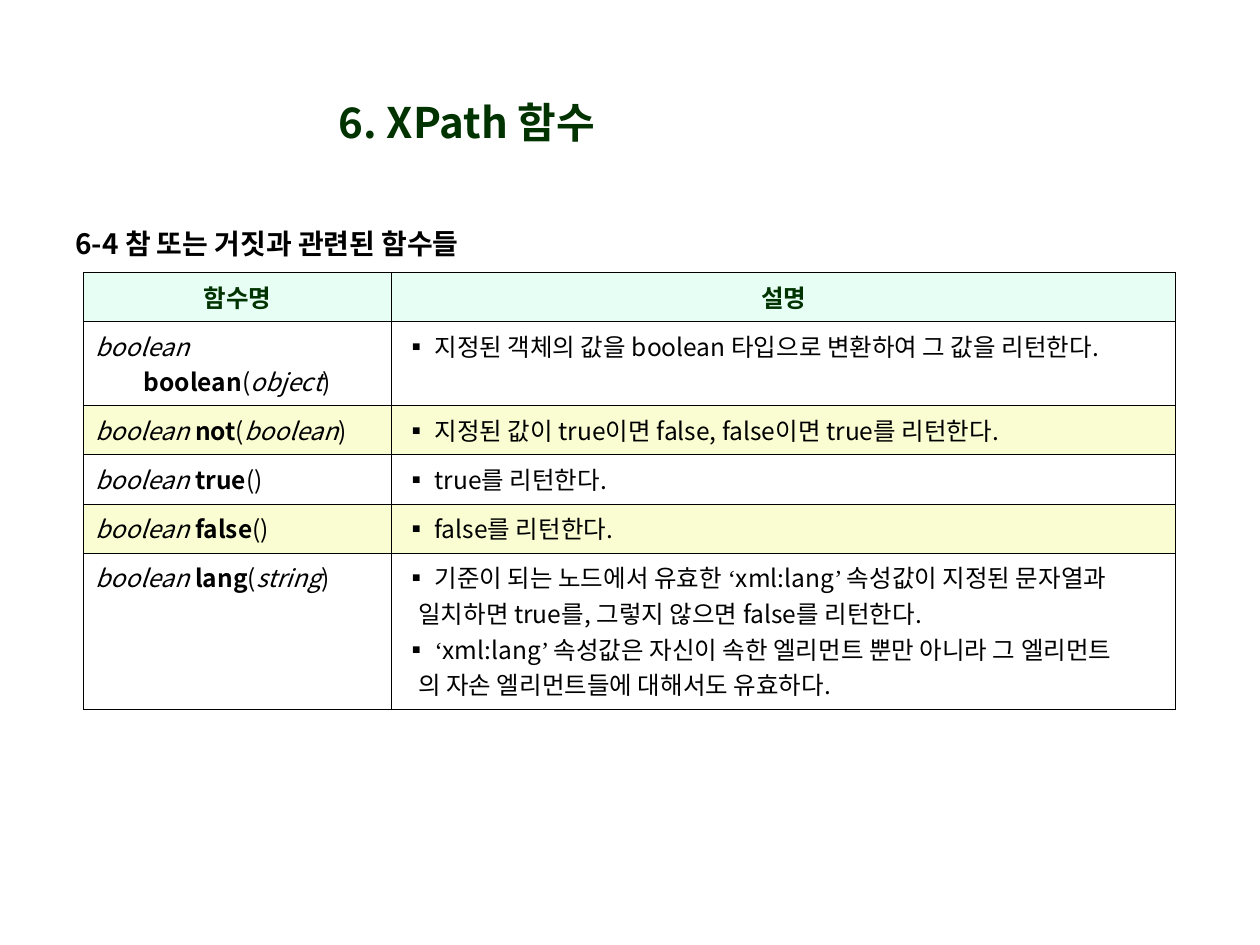
from lxml.etree import SubElement
from pptx import Presentation
from pptx.dml.color import RGBColor
from pptx.enum.text import MSO_ANCHOR, PP_ALIGN
from pptx.oxml.ns import qn
from pptx.util import Inches, Pt

WIDTH, HEIGHT = Inches(10), Inches(7.5)
COLORS = {"heading": "003300", "text": "000000", "border": "000000",
          "header": "E6FEF4", "band": "F9FDD1"}
SANS, SERIF = "Noto Sans CJK KR", "Times New Roman"
COLUMNS = (2.45, 6.22)
ROWS = (0.39, 0.67, 0.39, 0.39, 0.39, 1.24)
HANG = 0.38       # hanging indent of ordinary paragraphs
CONTINUED = 0.11  # left margin of a continued line


def signature(name, argument=""):
    """Spans of a function that returns a boolean: (text, style)."""
    spans = [("boolean ", "italic"), (name, "bold")]
    if argument:
        return spans + [("(", ""), (argument, "italic"), (")", "")]
    return spans + [("()", "")]


def quoted(before, word, after):
    return [(before, ""), ("‘", "serif"), (word, ""), ("’ ", "serif"), (after, "")]


# Each row: signature spans, then description lines as (left margin, spans)
FUNCTIONS = [
    (signature("boolean", "object"),
     [(HANG, [("▪ 지정된 객체의 값을 boolean 타입으로 변환하여 그 값을 리턴한다.", "")])]),
    (signature("not", "boolean"),
     [(HANG, [("▪ 지정된 값이 true이면 false, false이면 true를 리턴한다.", "")])]),
    (signature("true"), [(HANG, [("▪ true를 리턴한다.", "")])]),
    (signature("false"), [(HANG, [("▪ false를 리턴한다.", "")])]),
    (signature("lang", "string"),
     [(HANG, quoted("▪ 기준이 되는 노드에서 유효한 ", "xml:lang", "속성값이 지정된 문자열과")),
      (CONTINUED, [("일치하면 true를, 그렇지 않으면 false를 리턴한다.", "")]),
      (HANG, quoted("▪ ", "xml:lang", "속성값은 자신이 속한 엘리먼트 뿐만 아니라 그 엘리먼트")),
      (CONTINUED, [("의 자손 엘리먼트들에 대해서도 유효하다.", "")])]),
]


def color(name):
    return RGBColor.from_string(COLORS[name])


def format_span(span, size, ink, style=""):
    font = span.font
    font.size = Pt(size)
    font.bold = style == "bold"
    font.italic = style == "italic"
    font.color.rgb = color(ink)
    font.name = SERIF if style == "serif" else SANS
    SubElement(font._element, qn("a:ea"), typeface=font.name)


def indent(para, left):
    properties = para._p.get_or_add_pPr()
    properties.set("marL", str(Inches(left)))
    properties.set("indent", str(-Inches(left) if left == HANG else 0))


def write_heading(frame, text, size, ink, align, left=0):
    frame.text = text
    para = frame.paragraphs[0]
    para.alignment = align
    indent(para, left)
    format_span(para.runs[0], size, ink, "bold")


def write_lines(frame, lines):
    for number, (left, spans) in enumerate(lines):
        para = frame.add_paragraph() if number else frame.paragraphs[0]
        indent(para, left)
        for text, style in spans:
            span = para.add_run()
            span.text = text
            format_span(span, 14, "text", style)


def add_box(page, left, top, width, height):
    """Text box placed by shares of the slide's size."""
    box = page.shapes.add_textbox(int(WIDTH * left), int(HEIGHT * top),
                                  int(WIDTH * width), int(HEIGHT * height))
    box.text_frame.word_wrap = True
    return box.text_frame


def style_cell(cell, fill):
    properties = cell._tc.get_or_add_tcPr()
    for side in ("lnL", "lnR", "lnT", "lnB"):
        line = SubElement(properties, qn(f"a:{side}"), w=str(Pt(0.45)))
        solid = SubElement(line, qn("a:solidFill"))
        SubElement(solid, qn("a:srgbClr"), val=COLORS["border"])
    if fill:
        cell.fill.solid()
        cell.fill.fore_color.rgb = color(fill)
    else:
        cell.fill.background()


def add_function_table(page):
    frame = page.shapes.add_table(
        len(ROWS), len(COLUMNS), int(WIDTH * 0.066), int(HEIGHT * 0.288),
        Inches(sum(COLUMNS)), Inches(sum(ROWS)))
    table = frame.table
    table.first_row = table.horz_banding = False
    for column, width in zip(table.columns, COLUMNS):
        column.width = Inches(width)
    for number, (row, height) in enumerate(zip(table.rows, ROWS)):
        row.height = Inches(height)
        fill = "header" if number == 0 else "band" if number % 2 == 0 else None
        for cell in row.cells:
            style_cell(cell, fill)

    # Header row
    for cell, text in zip(table.rows[0].cells, ("함수명", "설명")):
        write_heading(cell.text_frame, text, 14, "heading", PP_ALIGN.CENTER, HANG)

    # One row per function
    for number, (spans, lines) in enumerate(FUNCTIONS, start=1):
        write_lines(table.cell(number, 0).text_frame, [(HANG, spans)])
        write_lines(table.cell(number, 1).text_frame, lines)


def main():
    deck = Presentation()
    deck.slide_width, deck.slide_height = WIDTH, HEIGHT
    page = deck.slides.add_slide(deck.slide_layouts[6])

    # Title and section heading
    title = add_box(page, 0.169, 0.045, 0.403, 0.167)
    title.vertical_anchor = MSO_ANCHOR.MIDDLE
    write_heading(title, "6. XPath 함수", 24, "heading", PP_ALIGN.CENTER)
    section = add_box(page, 0.05, 0.233, 0.907, 0.057)
    write_heading(section, "6-4 참 또는 거짓과 관련된 함수들", 16, "text",
                  PP_ALIGN.JUSTIFY, HANG)

    add_function_table(page)
    deck.save("out.pptx")


if __name__ == "__main__":
    main()
